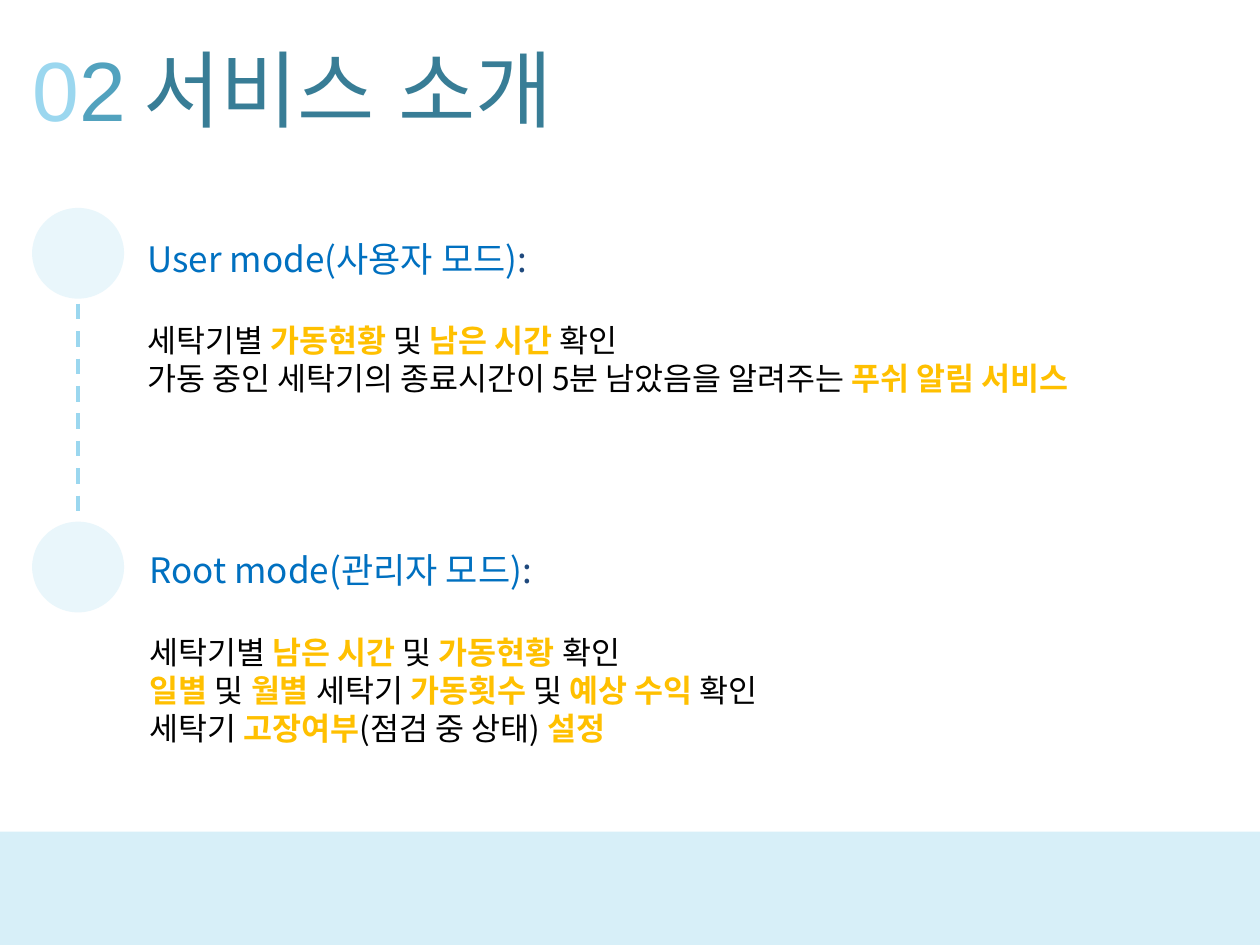
from lxml import etree
from pptx import Presentation
from pptx.dml.color import RGBColor
from pptx.enum.dml import MSO_LINE
from pptx.enum.shapes import MSO_CONNECTOR, MSO_SHAPE
from pptx.oxml.ns import qn
from pptx.util import Inches, Pt

STRAIGHT = MSO_CONNECTOR.STRAIGHT
RECT, OVAL = MSO_SHAPE.RECTANGLE, MSO_SHAPE.OVAL
DASH = MSO_LINE.DASH

SKY = RGBColor(0x9B, 0xD7, 0xEF)
TEAL = RGBColor(0x52, 0xA2, 0xBE)
DEEP = RGBColor(0x38, 0x7D, 0x96)
BAND = RGBColor(0x55, 0xBC, 0xE3)
BLUE = RGBColor(0x00, 0x70, 0xC0)
NAVY = RGBColor(0x1F, 0x49, 0x7D)
GOLD = RGBColor(0xFF, 0xC0, 0x00)
BLACK = RGBColor(0x00, 0x00, 0x00)

SANS, KOREAN = "Arial", "Noto Sans CJK KR"
LEADING = 1.207
DOT_W, DOT_H = 0.73, 0.72

USER_MODE = ("User mode(사용자 모드)", [
    ["세탁기별 ", "*가동현황 ", "및 ", "*남은 시간 ", "확인"],
    ["가동 중인 세탁기의 종료시간이 5분 남았음을 알려주는 ", "*푸쉬 알림 서비스"],
])
ROOT_MODE = ("Root mode(관리자 모드)", [
    ["세탁기별 ", "*남은 시간 ", "및 ", "*가동현황 ", "확인"],
    ["*일별 ", "및", "* 월별 ", "세탁기", "* 가동횟수 ", "및 ", "*예상 수익 ", "확인"],
    ["세탁기 ", "*고장여부", "(점검 중 상태) ", "*설정"],
])


def add_text(slide, box, lines, font):
    tf = slide.shapes.add_textbox(*map(Inches, box)).text_frame
    tf.word_wrap = True
    for i, (size, runs) in enumerate(lines):
        p = tf.add_paragraph() if i else tf.paragraphs[0]
        p.line_spacing = Pt(size * LEADING)
        for text, color, bold in runs:
            r = p.add_run()
            r.text = text
            r.font.size = Pt(size)
            r.font.name = font
            r.font.bold = bold
            r.font.color.rgb = color
            ea = etree.SubElement(r.font._element, qn("a:ea"))
            ea.set("typeface", font)
    return tf


def add_tint(slide, kind, box, color, percent):
    sp = slide.shapes.add_shape(kind, *map(Inches, box))
    sp.shadow.inherit = False
    sp.line.fill.background()
    sp.fill.solid()
    sp.fill.fore_color.rgb = color
    rgb = sp.fill._xPr.find(".//" + qn("a:srgbClr"))
    etree.SubElement(rgb, qn("a:alpha")).set("val", str(percent * 1000))


def add_header(slide, left, top, width, height):
    number_w = 1.18
    title_x = left + 0.88
    add_text(slide, (title_x, top, width - 0.88, height),
             [(48, [("서비스 소개", DEEP, False)])], SANS)
    tf = add_text(slide, (left, top, number_w, height),
                  [(48, [("0", SKY, False), ("2", TEAL, False)])], SANS)
    for r in tf.paragraphs[0].runs:
        r.font._element.set("spc", "-150")


def add_mode(slide, left, top, width, height, mode):
    heading, details = mode
    lines = [(20, [(heading, BLUE, False), (":", NAVY, False)])]
    for detail in details:
        lines.append((18, [(t.lstrip("*"), GOLD if t[0] == "*" else BLACK,
                            t[0] == "*") for t in detail]))
    tf = add_text(slide, (left, top, width, height), lines, KOREAN)
    tf.paragraphs[1].space_before = Pt(20 * LEADING)


def add_timeline(slide, left, top, bottom):
    for y in (top, bottom):
        add_tint(slide, OVAL, (left, y, DOT_W, DOT_H), SKY, 22)
    x = left + DOT_W / 2
    line = slide.shapes.add_connector(
        STRAIGHT, Inches(x), Inches(top + DOT_H + 0.04), Inches(x), Inches(bottom))
    line.line.color.rgb = SKY
    line.line.width = Pt(2.25)
    line.line.dash_style = DASH
    etree.SubElement(line._element.spPr, qn("a:effectLst"))


def main():
    prs = Presentation()
    prs.slide_width, prs.slide_height = Inches(10), Inches(7.5)
    slide = prs.slides.add_slide(prs.slide_layouts[6])
    add_header(slide, 0.16, 0.24, 8.46, 0.91)
    add_tint(slide, RECT, (0, 7.5 * 0.88, 10, 7.5 * 0.12), BAND, 23)
    add_timeline(slide, 0.255, 1.65, 4.14)
    add_mode(slide, 1.07, 1.83, 8.78, 1.38, USER_MODE)
    add_mode(slide, 1.09, 4.3, 8.78, 1.68, ROOT_MODE)
    prs.save("out.pptx")


if __name__ == "__main__":
    main()
